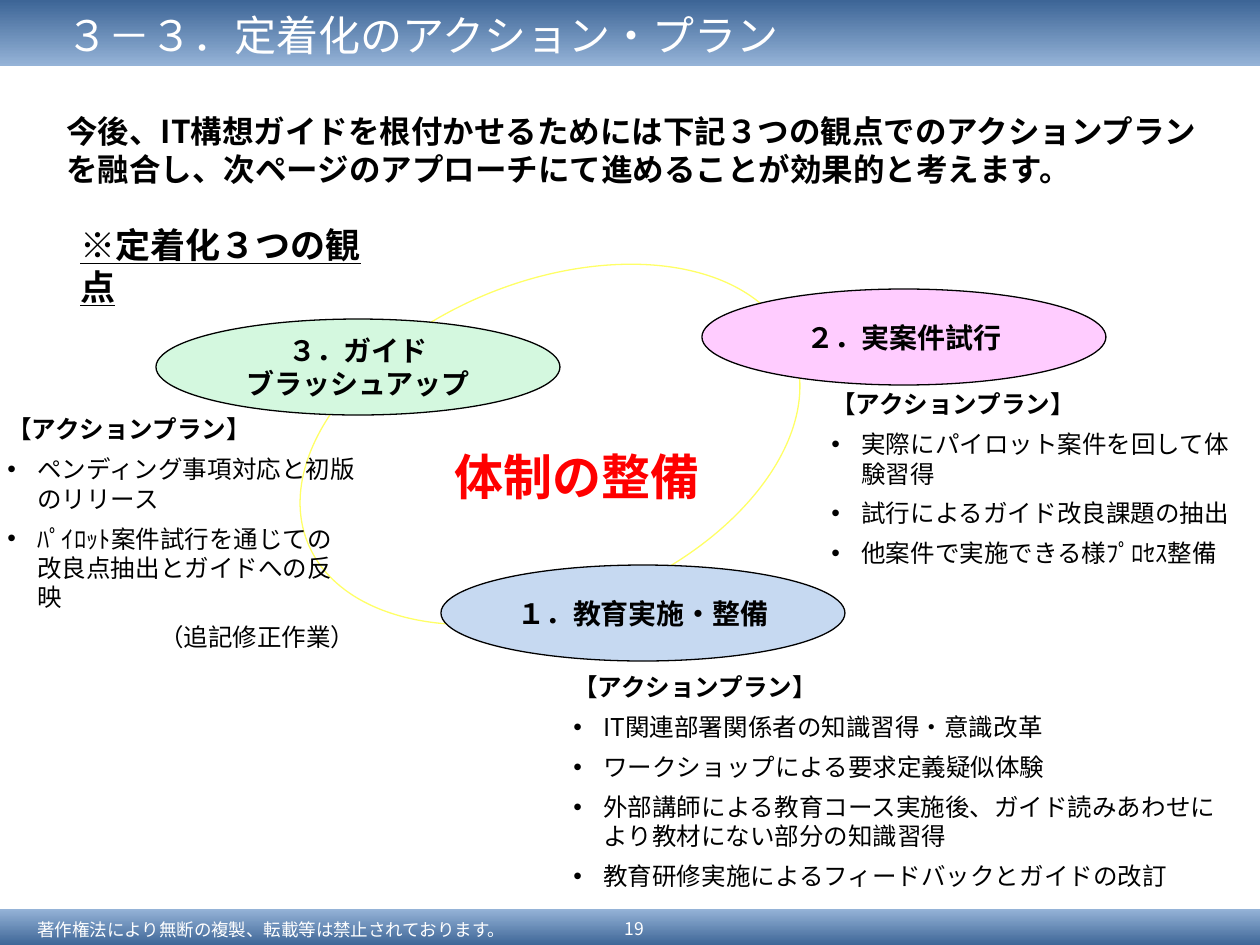
from dataclasses import dataclass

from lxml.etree import SubElement
from pptx import Presentation
from pptx.dml.color import RGBColor
from pptx.enum.shapes import MSO_SHAPE
from pptx.enum.text import MSO_ANCHOR, PP_ALIGN
from pptx.oxml.ns import qn
from pptx.util import Emu, Pt

FONT = "Noto Sans CJK JP"
BLACK = RGBColor(0x00, 0x00, 0x00)
WHITE = RGBColor(0xFF, 0xFF, 0xFF)
RED = RGBColor(0xFF, 0x00, 0x00)
YELLOW = RGBColor(0xFF, 0xFF, 0x66)
PINK = RGBColor(0xFF, 0xCC, 0xFF)
GREEN = RGBColor(0xD4, 0xF8, 0xDF)
BLUE = RGBColor(0xC6, 0xD9, 0xF1)
BAND_DARK = RGBColor(0x37, 0x60, 0x92)
BAND_LIGHT = RGBColor(0x95, 0xB3, 0xD7)

SCALE = 914400 / 126
OVAL_WIDTH, OVAL_HEIGHT = 404, 96
BULLET_INDENT = 30


def px(length: int) -> Emu:
    return Emu(round(length * SCALE))


@dataclass
class Area:
    left: int
    top: int
    width: int
    height: int

    def emu(self) -> list[Emu]:
        return [px(n) for n in (self.left, self.top, self.width, self.height)]


@dataclass
class Style:
    size: int
    color: RGBColor = BLACK
    bold: bool = False
    underline: bool = False
    align: PP_ALIGN = PP_ALIGN.LEFT


@dataclass
class Label:
    area: Area
    text: str
    style: Style
    anchor: MSO_ANCHOR = MSO_ANCHOR.TOP


@dataclass
class Viewpoint:
    left: int
    top: int
    fill: RGBColor
    lines: list[str]
    plan_area: Area
    actions: list[str]
    closing: str = ""


PLAN_HEAD = Style(14, bold=True)
PLAN_ITEM = Style(14)
PLAN_CLOSING = Style(14, align=PP_ALIGN.RIGHT)
OVAL_TEXT = Style(16, bold=True, align=PP_ALIGN.CENTER)

VIEWPOINTS = [
    Viewpoint(702, 289, PINK, ["２．実案件試行"], Area(819, 383, 436, 192),
              ["実際にパイロット案件を回して体験習得",
               "試行によるガイド改良課題の抽出",
               "他案件で実施できる様ﾌﾟﾛｾｽ整備"]),
    Viewpoint(156, 319, GREEN, ["３．ガイド", "ブラッシュアップ"],
              Area(-5, 408, 373, 221),
              ["ペンディング事項対応と初版のリリース",
               "ﾊﾟｲﾛｯﾄ案件試行を通じての改良点抽出とガイドへの反映"],
              "（追記修正作業）"),
    Viewpoint(441, 565, BLUE, ["１．教育実施・整備"], Area(561, 666, 684, 232),
              ["IT関連部署関係者の知識習得・意識改革",
               "ワークショップによる要求定義疑似体験",
               "外部講師による教育コース実施後、ガイド読みあわせにより教材にない部分の知識習得",
               "教育研修実施によるフィードバックとガイドの改訂"]),
]

LABELS = [
    Label(Area(25, 913, 536, 32), "著作権法により無断の複製、転載等は禁止されております。",
          Style(10, WHITE), MSO_ANCHOR.MIDDLE),
    Label(Area(600, 911, 69, 35), "19",
          Style(10, WHITE, align=PP_ALIGN.CENTER), MSO_ANCHOR.MIDDLE),
    Label(Area(54, 106, 1166, 88),
          "今後、IT構想ガイドを根付かせるためには下記３つの観点でのアクションプランを融合し、"
          "次ページのアプローチにて進めることが効果的と考えます。",
          Style(18, bold=True)),
    Label(Area(68, 217, 335, 55), "※定着化３つの観点",
          Style(20, bold=True, underline=True)),
    Label(Area(54, 3, 1101, 63), "３－３．定着化のアクション・プラン", Style(24, WHITE)),
    Label(Area(441, 440, 272, 72), "体制の整備",
          Style(28, RED, bold=True, align=PP_ALIGN.CENTER)),
]


def write_para(para, text: str, style: Style, bullet: bool = False) -> None:
    para.text = text
    para.alignment = style.align
    if bullet:
        props = para._p.get_or_add_pPr()
        props.set("marL", str(px(BULLET_INDENT)))
        props.set("indent", str(-px(BULLET_INDENT)))
        SubElement(props, qn("a:buFont"), typeface="Arial")
        SubElement(props, qn("a:buChar"), char="•")
    font = para.font
    font.size = Pt(style.size)
    font.bold = style.bold
    font.underline = style.underline
    font.color.rgb = style.color
    font.name = FONT
    SubElement(font._element, qn("a:ea"), typeface=FONT)


def add_box(page, area: Area, anchor: MSO_ANCHOR = MSO_ANCHOR.TOP):
    frame = page.shapes.add_textbox(*area.emu()).text_frame
    frame.word_wrap = True
    frame.vertical_anchor = anchor
    return frame


def add_label(page, label: Label) -> None:
    frame = add_box(page, label.area, label.anchor)
    write_para(frame.paragraphs[0], label.text, label.style)


def add_band(page, area: Area, bottom: RGBColor, top: RGBColor) -> None:
    band = page.shapes.add_shape(MSO_SHAPE.RECTANGLE, *area.emu())
    band.shadow.inherit = False
    band.line.fill.background()
    band.fill.gradient()
    band.fill.gradient_angle = 90
    for stop, color, position in zip(band.fill.gradient_stops, (bottom, top), (0, 1)):
        stop.color.rgb = color
        stop.position = position


def add_oval(page, area: Area, line: RGBColor):
    oval = page.shapes.add_shape(MSO_SHAPE.OVAL, *area.emu())
    oval.shadow.inherit = False
    oval.fill.background()
    oval.line.color.rgb = line
    oval.line.width = Pt(0.75)
    return oval


def add_viewpoint(page, view: Viewpoint) -> None:
    oval = add_oval(page, Area(view.left, view.top, OVAL_WIDTH, OVAL_HEIGHT), BLACK)
    oval.fill.solid()
    oval.fill.fore_color.rgb = view.fill
    frame = oval.text_frame
    frame.vertical_anchor = MSO_ANCHOR.MIDDLE
    for index, line in enumerate(view.lines):
        para = frame.add_paragraph() if index else frame.paragraphs[0]
        write_para(para, line, OVAL_TEXT)

    # Action plan beside the oval
    frame = add_box(page, view.plan_area)
    write_para(frame.paragraphs[0], "【アクションプラン】", PLAN_HEAD)
    rows = [(action, PLAN_ITEM, True) for action in view.actions]
    if view.closing:
        rows.append((view.closing, PLAN_CLOSING, False))
    for text, style, bullet in rows:
        para = frame.add_paragraph()
        para.space_before = Pt(6)
        write_para(para, text, style, bullet)


def main() -> None:
    deck = Presentation()
    deck.slide_width, deck.slide_height = px(1260), px(945)
    page = deck.slides.add_slide(deck.slide_layouts[6])

    # Header and footer bands
    add_band(page, Area(0, -4, 1260, 70), BAND_LIGHT, BAND_DARK)
    add_band(page, Area(0, 909, 1260, 39), BAND_DARK, BAND_LIGHT)

    # Ring linking the three viewpoints
    ring = add_oval(page, Area(387, 183, 326, 523), YELLOW)
    ring.rotation = 67.9
    for view in VIEWPOINTS:
        add_viewpoint(page, view)

    # Title, lead text, centre message and footer
    for label in LABELS:
        add_label(page, label)
    deck.save("out.pptx")


if __name__ == "__main__":
    main()
